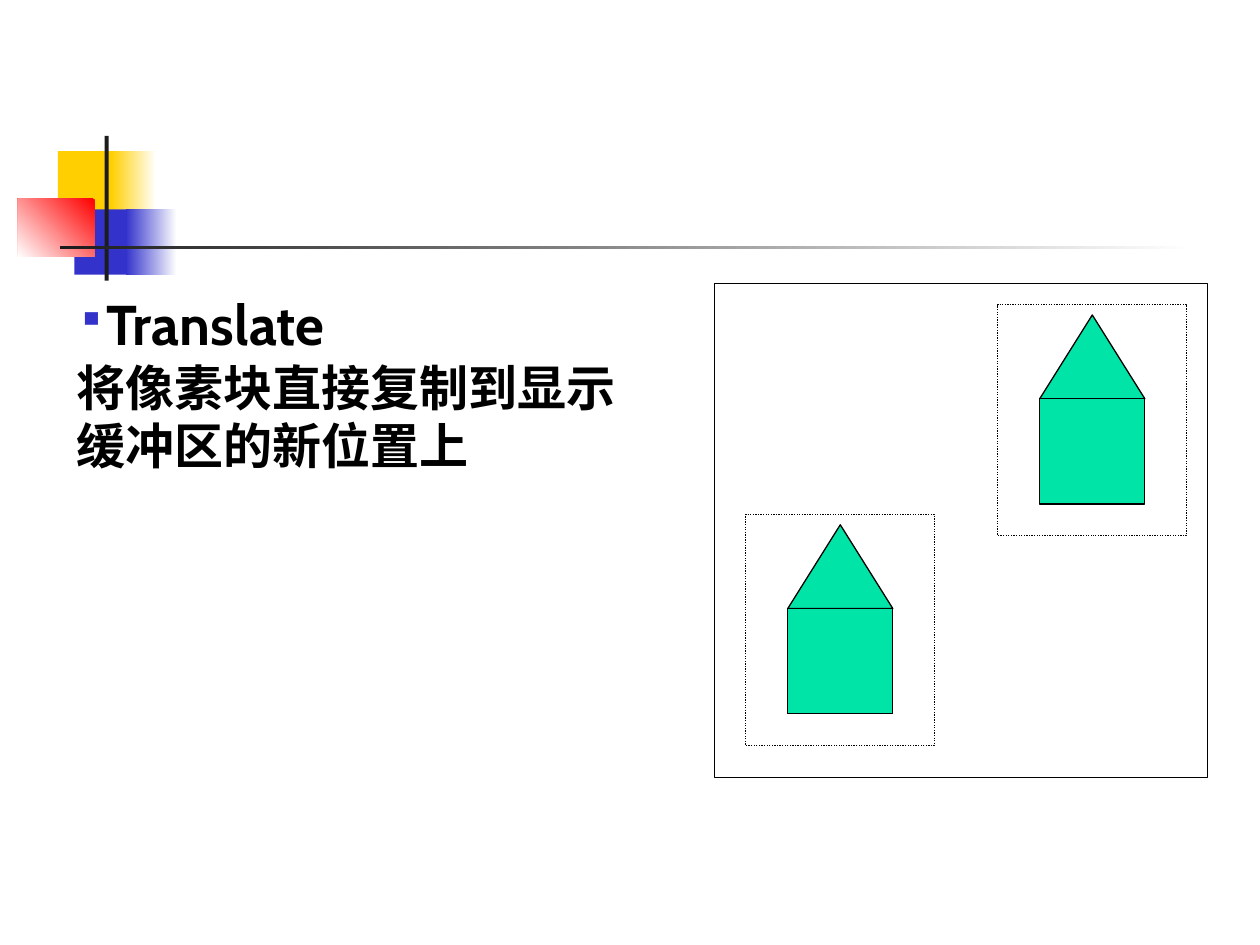
from lxml.etree import SubElement
from pptx import Presentation
from pptx.dml.color import RGBColor
from pptx.enum.dml import MSO_LINE
from pptx.enum.shapes import MSO_SHAPE as Shape
from pptx.oxml.ns import qn
from pptx.util import Cm, Pt


def rgb(value):
    return RGBColor.from_string(value)


class Deck:
    """Holds the style and the current slide, and draws each kind of element."""

    font, ink, house_fill = "Cabin", "000000", "00E4A8"
    yellow, blue, red, dark, white = "FFCF01", "3333CC", "FF0000", "1C1C1C", "FFFFFF"

    def __init__(self, prs):
        self.s = prs.slides.add_slide(prs.slide_layouts[6])

    def shape(self, x, y, w, h, fill=None, line=None, dash=None, kind=Shape.RECTANGLE):
        sp = self.s.shapes.add_shape(kind, Cm(x), Cm(y), Cm(w), Cm(h))
        sp.shadow.inherit = False
        if fill:
            sp.fill.solid()
            sp.fill.fore_color.rgb = rgb(fill)
        else:
            sp.fill.background()
        if line:
            sp.line.color.rgb = rgb(line)
            sp.line.width = Pt(0.75)
            if dash:
                sp.line.dash_style = dash
        else:
            sp.line.fill.background()
        return sp

    def fade(self, x, y, w, h, start, end, angle=180):
        sp = self.shape(x, y, w, h)
        sp.fill.gradient()
        sp.fill.gradient_angle = angle
        for stop, color in zip(sp.fill.gradient_stops, (start, end)):
            stop.color.rgb = rgb(color)

    def house(self, x, y):
        self.shape(x + 0.85, y + 0.21, 2.12, 1.69, self.house_fill, self.ink,
                   kind=Shape.ISOSCELES_TRIANGLE)
        self.shape(x + 0.85, y + 1.9, 2.12, 2.12, self.house_fill, self.ink)
        self.shape(x, y, 3.81, 4.66, line=self.ink, dash=MSO_LINE.ROUND_DOT)

    def bullet(self, p):
        pPr = p._p.get_or_add_pPr()
        pPr.set("marL", str(Cm(0.6)))
        pPr.set("indent", str(Cm(-0.6)))
        SubElement(SubElement(pPr, qn("a:buClr")), qn("a:srgbClr"), val=self.blue)
        SubElement(pPr, qn("a:buSzPct"), val="70000")
        SubElement(pPr, qn("a:buChar"), char="▪")

    def run(self, p, text, size):
        r = p.add_run()
        r.text = text
        r.font.name, r.font.size, r.font.bold = self.font, Pt(size), True
        r.font.color.rgb = rgb(self.ink)
        SubElement(r._r.get_or_add_rPr(), qn("a:ea"), typeface=self.font)

    def body(self, x, y, w, h, heading, text):
        tf = self.s.shapes.add_textbox(Cm(x), Cm(y), Cm(w), Cm(h)).text_frame
        tf.word_wrap = True
        p = tf.paragraphs[0]
        self.bullet(p)
        self.run(p, heading, 32)
        self.run(tf.add_paragraph(), text, 28)


def main():
    prs = Presentation()
    prs.slide_width, prs.slide_height = Cm(25.4), Cm(19.05)
    d = Deck(prs)
    d.shape(1.17, 3.05, 1.22, 1.32, d.yellow)
    d.fade(2.24, 3.05, 0.91, 1.32, d.white, d.yellow)
    d.shape(1.5, 4.22, 1.17, 1.32, d.blue)
    d.fade(2.54, 4.22, 1.02, 1.32, d.white, d.blue)
    d.fade(0.36, 4.01, 1.55, 1.17, d.red, d.white, 225)
    d.shape(2.11, 2.74, 0.08, 2.92, d.dark)
    d.fade(1.22, 4.95, 22.86, 0.08, d.white, d.dark)
    d.body(1.3, 5.72, 11.61, 11.56, "Translate", "将像素块直接复制到显示缓冲区的新位置上")
    d.shape(14.4, 5.72, 9.95, 9.95, line=d.ink)
    for x, y in ((20.11, 6.14), (15.03, 10.37)):
        d.house(x, y)
    prs.save("out.pptx")


if __name__ == "__main__":
    main()
